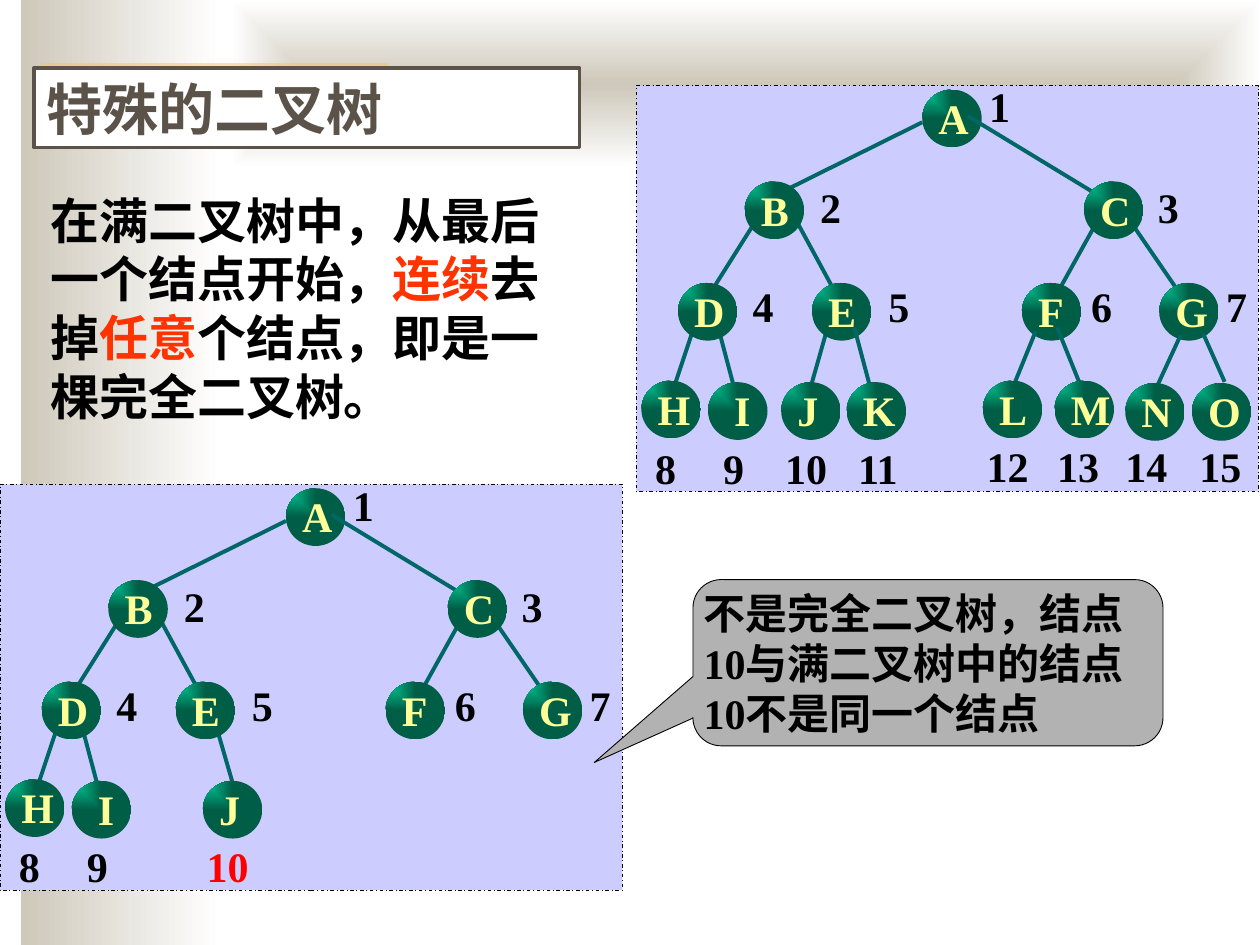
"""Build the slide comparing a full binary tree with one that is not complete."""
from dataclasses import dataclass, replace
from typing import NamedTuple

from lxml import etree
from pptx import Presentation
from pptx import util as u
from pptx.dml.color import RGBColor
from pptx.enum import dml, shapes, text
from pptx.oxml.ns import qn


@dataclass(frozen=True)
class Theme:
    """Colours, font and type sizes of the slide."""
    font: str = "Times New Roman"
    heading: float = 32
    body: float = 28
    small: float = 24
    ink: str = "000000"
    paper: str = "FFFFFF"
    sand: str = "CEC8BA"
    amber: str = "FAC164"
    brown: str = "5B5249"
    accent: str = "FF3300"
    wrong: str = "FF0000"
    panel: str = "CCCCFF"
    bubble: str = "B2B2B2"
    edge: str = "006666"
    node_light: str = "00CC99"
    node_dark: str = "005E46"
    letter: str = "FFFF99"


class Box(NamedTuple):
    """Left, top, width and height in points."""
    left: float
    top: float
    width: float
    height: float


@dataclass(frozen=True)
class Node:
    """A tree node, its number and the edge above it, measured from its panel."""
    letter: str
    at: tuple[float, float]
    number: int
    number_at: tuple[float, float]
    edge: tuple[float, float, float, float] | None = None
    number_color: str = Theme.ink


THEME = Theme()
PANEL_SIZE = (355.7, 231.8)
NODE_SIZE = (34, 33)
ROOT = [Node("A", (163.4, 2.2), 1, (201.6, -4.3))]
CORE = [
    Node("B", (61.9, 54.7), 2, (105.1, 53.3), (163.4, 20.9, 85, 59.8)),
    Node("C", (255.8, 54.7), 3, (298.1, 53.3), (189.4, 17.3, 262.8, 61.9)),
    Node("D", (23.8, 112.7), 4, (66.5, 110.2), (68.4, 77, 43.9, 115.9)),
    Node("E", (100.4, 112.7), 5, (144, 110.2), (91.4, 77, 112.5, 115.9)),
    Node("F", (220.3, 112.7), 6, (259.9, 110.2), (262.8, 78.5, 241.2, 117.4)),
    Node("G", (298.8, 112.7), 7, (337, 110.2), (283, 78.5, 308.2, 115.2)),
    Node("H", (2.9, 168.5), 8, (10.8, 202.3), (32.4, 139.7, 21.6, 172.1)),
    Node("I", (41, 169.4), 9, (49.7, 202.3), (46.8, 138.2, 55.4, 170.6)),
]
LEFT_J = Node("J", (82.8, 169.4), 10, (85, 202.3), (108.7, 140.4, 100.1, 170.6))
RIGHT_J = replace(LEFT_J, at=(115.9, 169.4), number_at=(118.1, 202.3),
                  edge=(124.6, 141.8, 133.2, 171.4), number_color=THEME.wrong)
LAST = [
    Node("K", (120.2, 169.4), 11, (126.7, 202.3), (124.6, 138.2, 133.2, 170.6)),
    Node("L", (198, 168.5), 12, (200.2, 201.6), (228.2, 140.4, 215.3, 172.1)),
    Node("M", (239, 168.5), 13, (240.5, 201.6), (240.5, 138.2, 254.2, 172.1)),
    Node("N", (279.4, 169.9), 14, (279.4, 201.6), (311, 142.6, 298.1, 170.6)),
    Node("O", (317.5, 169.9), 15, (321.8, 201.6), (324, 141.8, 336.2, 169.2)),
]


def points(values) -> list[u.Length]:
    """Convert numbers to lengths in points."""
    return [u.Pt(value) for value in values]


def write(frame, content: str, *, size: float = THEME.small, color: str = THEME.ink,
          align=text.PP_ALIGN.LEFT, anchor=text.MSO_ANCHOR.TOP,
          insets: tuple = (0, 0, 0, 0), spacing: float = 1) -> None:
    """Append a bold run to the frame's first paragraph and format the frame."""
    frame.word_wrap = True
    frame.auto_size = text.MSO_AUTO_SIZE.NONE
    frame.vertical_anchor = anchor
    (frame.margin_left, frame.margin_top,
     frame.margin_right, frame.margin_bottom) = points(insets)
    paragraph = frame.paragraphs[0]
    paragraph.alignment = align
    paragraph.line_spacing = spacing
    run = paragraph.add_run()
    run.text = content
    run.font.name = THEME.font
    run.font.size = u.Pt(size)
    run.font.bold = True
    run.font.color.rgb = RGBColor.from_string(color)


def outline(shape, color: str, width: float, dash=None) -> None:
    """Give a shape or connector its line."""
    shape.line.color.rgb = RGBColor.from_string(color)
    shape.line.width = u.Pt(width)
    if dash is not None:
        shape.line.dash_style = dash


def add_shape(slide, kind, box: Box, fill: str | None = None):
    """Add a shape without shadow or line."""
    shape = slide.shapes.add_shape(kind, *points(box))
    shape.shadow.inherit = False
    shape.line.fill.background()
    if fill:
        shape.fill.solid()
        shape.fill.fore_color.rgb = RGBColor.from_string(fill)
    return shape


def shade(shape, start: str, end: str, path: str = "",
          focus: tuple = (0, 0, 0, 0)) -> None:
    """Fill with a gradient, linear unless a path kind is named."""
    shape.fill.gradient()
    shape.fill.gradient_angle = 0
    for stop, color in zip(shape.fill.gradient_stops, (start, end)):
        stop.color.rgb = RGBColor.from_string(color)
    if path:
        gradient = shape._element.spPr.find(qn("a:gradFill"))
        gradient.remove(gradient.find(qn("a:lin")))
        centre = etree.SubElement(gradient, qn("a:path"), path=path)
        sides = {side: str(share * 1000) for side, share in zip("ltrb", focus)}
        etree.SubElement(centre, qn("a:fillToRect"), **sides)


def draw_edge(slide, x: float, y: float, ends: tuple) -> None:
    """Draw the line from a parent to its child."""
    x1, y1, x2, y2 = ends
    edge = slide.shapes.add_connector(
        shapes.MSO_CONNECTOR.STRAIGHT, *points((x + x1, y + y1, x + x2, y + y2)))
    outline(edge, THEME.edge, 2.25)
    etree.SubElement(edge._element.spPr, qn("a:effectLst"))


def draw_node(slide, x: float, y: float, node: Node) -> None:
    """Draw the lettered circle and its number."""
    left, top = node.at
    circle = add_shape(slide, shapes.MSO_SHAPE.OVAL, Box(x + left, y + top, *NODE_SIZE))
    shade(circle, THEME.node_light, THEME.node_dark, "rect", (0, 0, 100, 100))
    indent = 10 if node.letter == "I" else 4.3
    write(circle.text_frame, node.letter, color=THEME.letter,
          insets=(indent, 0, 0, 0), spacing=0.9)
    left, top = node.number_at
    width = 19.4 if node.number < 10 else 30.2
    number = slide.shapes.add_textbox(*points((x + left, y + top, width, 28.4)))
    write(number.text_frame, str(node.number), color=node.number_color,
          align=text.PP_ALIGN.JUSTIFY, insets=(0, 1.4, 0, 0))


def draw_tree(slide, x: float, y: float, layers: list[list[Node]]) -> None:
    """Draw a panel and its tree, with each layer's edges below its nodes."""
    panel = add_shape(slide, shapes.MSO_SHAPE.RECTANGLE, Box(x, y, *PANEL_SIZE), THEME.panel)
    outline(panel, THEME.ink, 0.5, dml.MSO_LINE.DASH_DOT)
    for layer in layers:
        for node in layer:
            if node.edge:
                draw_edge(slide, x, y, node.edge)
        for node in layer:
            draw_node(slide, x, y, node)


def draw_backdrop(slide) -> None:
    """Draw the shaded bands and the translucent tab."""
    rectangle = shapes.MSO_SHAPE.RECTANGLE
    shade(add_shape(slide, rectangle, Box(12, 0, 114, 540)), THEME.sand, THEME.paper)
    shade(add_shape(slide, rectangle, Box(132, 0, 588, 96)), THEME.sand, THEME.paper,
          "shape", (50, 50, 50, 50))
    tab = add_shape(slide, rectangle, Box(24, 36, 198, 24), THEME.amber)
    color = tab._element.spPr.find(qn("a:solidFill"))[0]
    etree.SubElement(color, qn("a:alpha"), val="50000")


def main() -> None:
    """Build and save the slide."""
    deck = Presentation()
    deck.slide_width, deck.slide_height = points((720, 540))
    slide = deck.slides.add_slide(deck.slide_layouts[5])
    draw_backdrop(slide)

    rule = slide.shapes.add_textbox(*points((28.8, 105.1, 298, 141.8)))
    for phrase, color in (("在满二叉树中，从最后一个结点开始，", THEME.ink), ("连续", THEME.accent),
                          ("去掉", THEME.ink), ("任意", THEME.accent),
                          ("个结点，即是一棵完全二叉树。", THEME.ink)):
        write(rule.text_frame, phrase, size=THEME.body, color=color, insets=(0, 3.6, 0, 3.6))

    draw_tree(slide, 363.6, 49, [ROOT, CORE + [LEFT_J], LAST])
    draw_tree(slide, 0, 276.8, [ROOT, CORE + [RIGHT_J]])

    remark = add_shape(slide, shapes.MSO_SHAPE.ROUNDED_RECTANGULAR_CALLOUT,
                       Box(396, 331.2, 268.6, 95), THEME.bubble)
    for index, value in enumerate((-0.71, 0.6, 0.17)):
        remark.adjustments[index] = value
    outline(remark, THEME.ink, 0.5)
    write(remark.text_frame, "不是完全二叉树，结点10与满二叉树中的结点10不是同一个结点",
          anchor=text.MSO_ANCHOR.MIDDLE, insets=(1.4, 0.7, 0, 0.7))

    title = slide.shapes.title
    title.left, title.top, title.width, title.height = points((19.4, 38.9, 311.8, 45.4))
    title.fill.solid()
    title.fill.fore_color.rgb = RGBColor.from_string(THEME.paper)
    outline(title, THEME.brown, 2)
    write(title.text_frame, "特殊的二叉树", size=THEME.heading, color=THEME.brown,
          insets=(7.2, 3.6, 7.2, 3.6))
    slide.shapes._spTree.append(title._element)
    deck.save("out.pptx")


if __name__ == "__main__":
    main()
